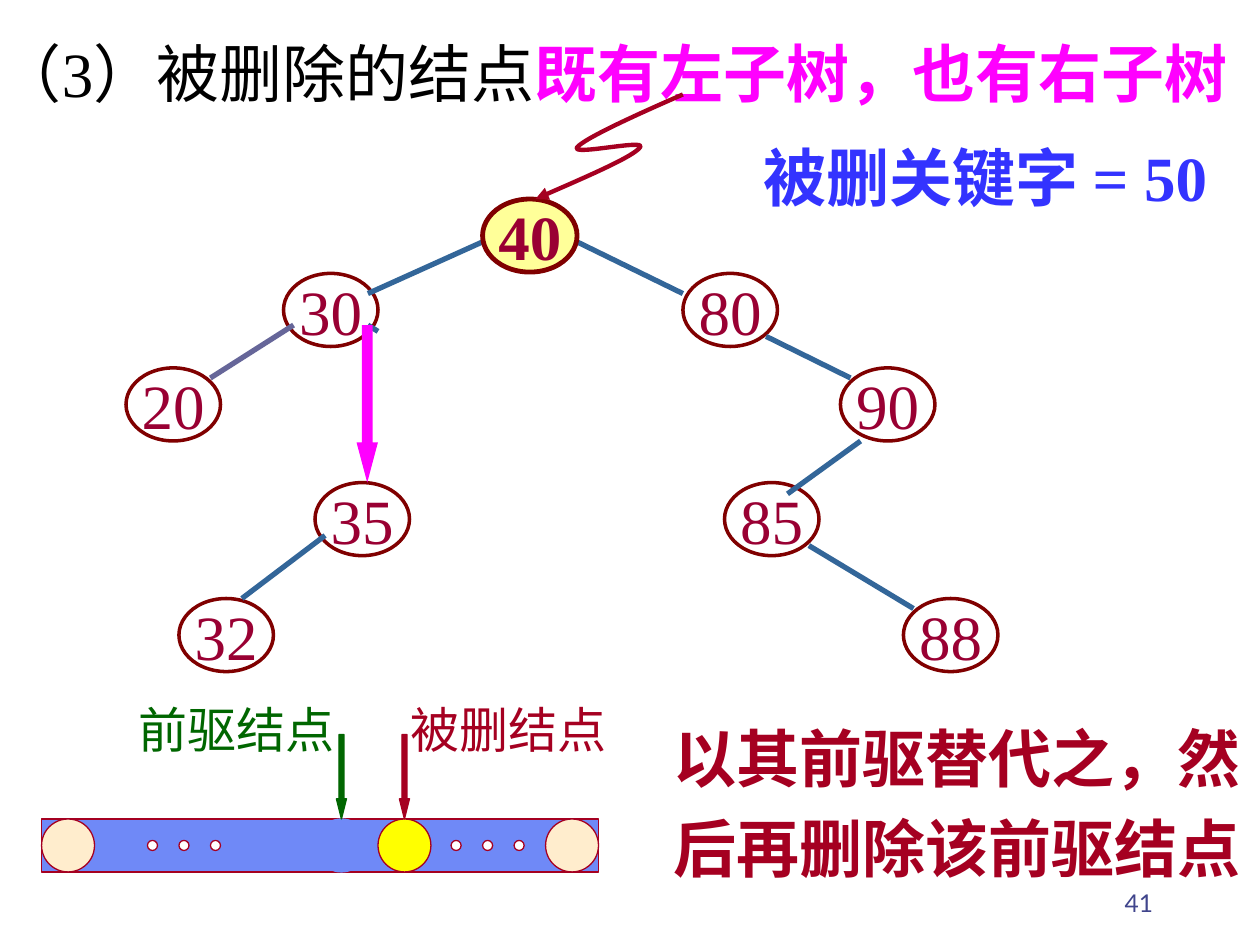
import pptx
import pptx.dml.color
import pptx.enum.shapes
import pptx.enum.text
import pptx.oxml.ns
import pptx.oxml.xmlchemy
import pptx.util
from pptx.util import Inches

RGBColor = pptx.dml.color.RGBColor
PRESET = pptx.enum.shapes.MSO_SHAPE
ALIGN = pptx.enum.text.PP_ALIGN
ANCHOR = pptx.enum.text.MSO_ANCHOR
qn = pptx.oxml.ns.qn
new_element = pptx.oxml.xmlchemy.OxmlElement

BLACK = RGBColor(0x00, 0x00, 0x00)
WHITE = RGBColor(0xFF, 0xFF, 0xFF)
MAGENTA = RGBColor(0xFF, 0x00, 0xFF)
MAROON = RGBColor(0x80, 0x00, 0x00)
KEY_RED = RGBColor(0x99, 0x00, 0x33)
CRIMSON = RGBColor(0xA5, 0x00, 0x21)
EDGE_BLUE = RGBColor(0x33, 0x66, 0x99)
EDGE_VIOLET = RGBColor(0x66, 0x66, 0x99)
ROOT_YELLOW = RGBColor(0xFF, 0xFF, 0x99)
YELLOW = RGBColor(0xFF, 0xFF, 0x00)
BAR_BLUE = RGBColor(0x6F, 0x89, 0xF7)
CREAM = RGBColor(0xFF, 0xED, 0xCD)
GREEN = RGBColor(0x00, 0x66, 0x00)
BLUE = RGBColor(0x33, 0x33, 0xFF)
PAGE_BLUE = RGBColor(0x40, 0x45, 0x8C)

NODE_W, NODE_H = 0.75, 0.58
BAR_TOP, BAR_H = 6.5, 0.42

# Left and top of each plain tree node
NODES = {
    "30": (2.25, 2.17), "80": (5.42, 2.17),
    "20": (1, 2.92), "90": (6.67, 2.92),
    "35": (2.5, 3.83), "85": (5.75, 3.83),
    "32": (1.42, 4.75), "88": (7.17, 4.75),
}

# Start, end and colour of each tree edge
EDGES = [
    ((3.83, 1.92), (2.92, 2.33), EDGE_BLUE),    # 40 - 30
    ((4.58, 1.92), (5.42, 2.33), EDGE_BLUE),    # 40 - 80
    ((2.33, 2.58), (1.67, 3), EDGE_VIOLET),     # 30 - 20
    ((2.92, 2.58), (3, 2.63), EDGE_BLUE),       # stub of the replaced edge
    ((6.08, 2.67), (6.75, 3), EDGE_BLUE),       # 80 - 90
    ((6.83, 3.5), (6.25, 3.92), EDGE_BLUE),     # 90 - 85
    ((6.42, 4.33), (7.25, 4.83), EDGE_BLUE),    # 85 - 88
    ((2.58, 4.25), (1.92, 4.75), EDGE_BLUE),    # 35 - 32
]

# Start of the pointer, then three points for each Bezier segment
POINTER_CURVE = [
    (5.42, 0.75),
    (5.03, 0.92), (4.64, 1.1), (4.58, 1.17),
    (4.53, 1.24), (5.14, 1.1), (5.08, 1.17),
    (5.03, 1.24), (4.64, 1.41), (4.25, 1.58),
]


def add_run(paragraph, text, size, color, bold=False, font="Times New Roman"):
    run = paragraph.add_run()
    run.text = text
    run.font.name = font
    run.font.size = pptx.util.Pt(size)
    run.font.bold = bold
    run.font.color.rgb = color


def add_figure(slide, preset, box, fill=None, line=None, width=0.75):
    figure = slide.shapes.add_shape(preset, *map(Inches, box))
    figure.shadow.inherit = False
    if fill is None:
        figure.fill.background()
    else:
        figure.fill.solid()
        figure.fill.fore_color.rgb = fill
    if line is None:
        figure.line.fill.background()
    else:
        figure.line.color.rgb = line
        figure.line.width = pptx.util.Pt(width)
    return figure


def add_node(slide, key, left, top, fill=None, width=2, bold=False):
    node = add_figure(slide, PRESET.OVAL, (left, top, NODE_W, NODE_H),
                      fill, MAROON, width)
    frame = node.text_frame
    frame.word_wrap = False
    frame.vertical_anchor = ANCHOR.MIDDLE
    frame.paragraphs[0].alignment = ALIGN.CENTER
    add_run(frame.paragraphs[0], key, 36, KEY_RED, bold)


def add_edge(slide, start, end, color):
    edge = slide.shapes.add_connector(
        pptx.enum.shapes.MSO_CONNECTOR.STRAIGHT, *map(Inches, start + end))
    edge.line.color.rgb = color
    edge.line.width = pptx.util.Pt(3)
    edge._element.spPr.append(new_element("a:effectLst"))


def add_down_arrow(slide, box, head, color, line=None):
    arrow = add_figure(slide, PRESET.DOWN_ARROW, box, color, line)
    arrow.adjustments[1] = head


def add_label(slide, box, text, size, color, bold=False, wrap=False,
              font="Times New Roman"):
    frame = slide.shapes.add_textbox(*map(Inches, box)).text_frame
    frame.word_wrap = wrap
    add_run(frame.paragraphs[0], text, size, color, bold, font)
    return frame


def add_title(slide):
    title = slide.shapes.title
    title.left, title.top, title.width, title.height = map(
        Inches, (-0.11, 0.22, 10.19, 0.7))
    frame = title.text_frame
    frame.word_wrap = False
    frame.auto_size = pptx.enum.text.MSO_AUTO_SIZE.NONE
    frame.vertical_anchor = ANCHOR.TOP
    heading = frame.paragraphs[0]
    heading.alignment = ALIGN.LEFT
    add_run(heading, "（3）被删除的结点", 36, BLACK)
    add_run(heading, "既有左子树，也有右子树", 36, MAGENTA, True)


def add_pointer(slide):
    builder = slide.shapes.build_freeform(
        *map(Inches, POINTER_CURVE[0]), scale=1.0)
    builder.add_line_segments(
        [(Inches(x), Inches(y)) for x, y in POINTER_CURVE[1:]], close=False)
    pointer = builder.convert_to_shape()
    pointer.shadow.inherit = False
    pointer.fill.background()
    pointer.line.color.rgb = CRIMSON
    pointer.line.width = pptx.util.Pt(2.5)
    # Join every three straight segments into one Bezier segment
    segments = pointer._element.spPr.findall(".//" + qn("a:lnTo"))
    for i in range(0, len(segments), 3):
        bezier = new_element("a:cubicBezTo")
        segments[i].addprevious(bezier)
        for segment in segments[i:i + 3]:
            bezier.append(segment[0])
            segment.getparent().remove(segment)
    arrowhead = new_element("a:tailEnd")
    arrowhead.set("type", "triangle")
    pointer._element.spPr.find(qn("a:ln")).append(arrowhead)


def add_tree(slide):
    for key, (left, top) in NODES.items():
        add_node(slide, key, left, top)
    for start, end, color in EDGES:
        add_edge(slide, start, end, color)
    add_node(slide, "40", 3.83, 1.58, ROOT_YELLOW, 2.75, True)
    add_down_arrow(slide, (2.83, 2.58, 0.17, 1.25), 1.876, MAGENTA)


def add_sequence(slide):
    # Bar with first, last, deleted and predecessor nodes
    add_figure(slide, PRESET.RECTANGLE, (0.33, BAR_TOP, 4.42, BAR_H),
               BAR_BLUE, CRIMSON)
    for left, fill, line in [(0.33, CREAM, CRIMSON), (4.33, CREAM, CRIMSON),
                             (3, YELLOW, CRIMSON), (2.5, BAR_BLUE, BAR_BLUE)]:
        add_figure(slide, PRESET.OVAL, (left, BAR_TOP, BAR_H, BAR_H),
                   fill, line)
    # Ellipsis dots
    for first in (1.17, 3.58):
        for i in range(3):
            add_figure(slide, PRESET.OVAL,
                       (first + 0.25 * i, 6.67, 0.08, 0.08), WHITE, CRIMSON)
    # Labelled arrows
    for arrow_left, label_left, text, color in [
            (3.17, 3.16, "被删结点", CRIMSON), (2.67, 1, "前驱结点", GREEN)]:
        add_down_arrow(slide, (arrow_left, 5.83, 0.08, 0.67), 1.996,
                       color, color)
        add_label(slide, (label_left, 5.5, 1.75, 0.57), text, 28, color)


def main():
    deck = pptx.Presentation()
    deck.slide_width, deck.slide_height = Inches(10), Inches(7.5)
    slide = deck.slides.add_slide(deck.slide_layouts[5])
    add_title(slide)
    add_tree(slide)
    add_sequence(slide)
    add_pointer(slide)
    # Deleted key and conclusion
    add_label(slide, (5.96, 1.05, 3.98, 0.7), "被删关键字 = 50", 36, BLUE, True)
    conclusion = add_label(slide, (5.25, 5.54, 4.77, 1.54),
                           "以其前驱替代之，然后再删除该前驱结点",
                           36, CRIMSON, True, True)
    conclusion.paragraphs[0].line_spacing = 1.2
    # Page number
    page = add_label(slide, (7.17, 6.83, 2.08, 0.5), "41", 14, PAGE_BLUE,
                     wrap=True, font="Lato")
    page.vertical_anchor = ANCHOR.BOTTOM
    page.paragraphs[0].alignment = ALIGN.RIGHT
    deck.save("out.pptx")


if __name__ == "__main__":
    main()
